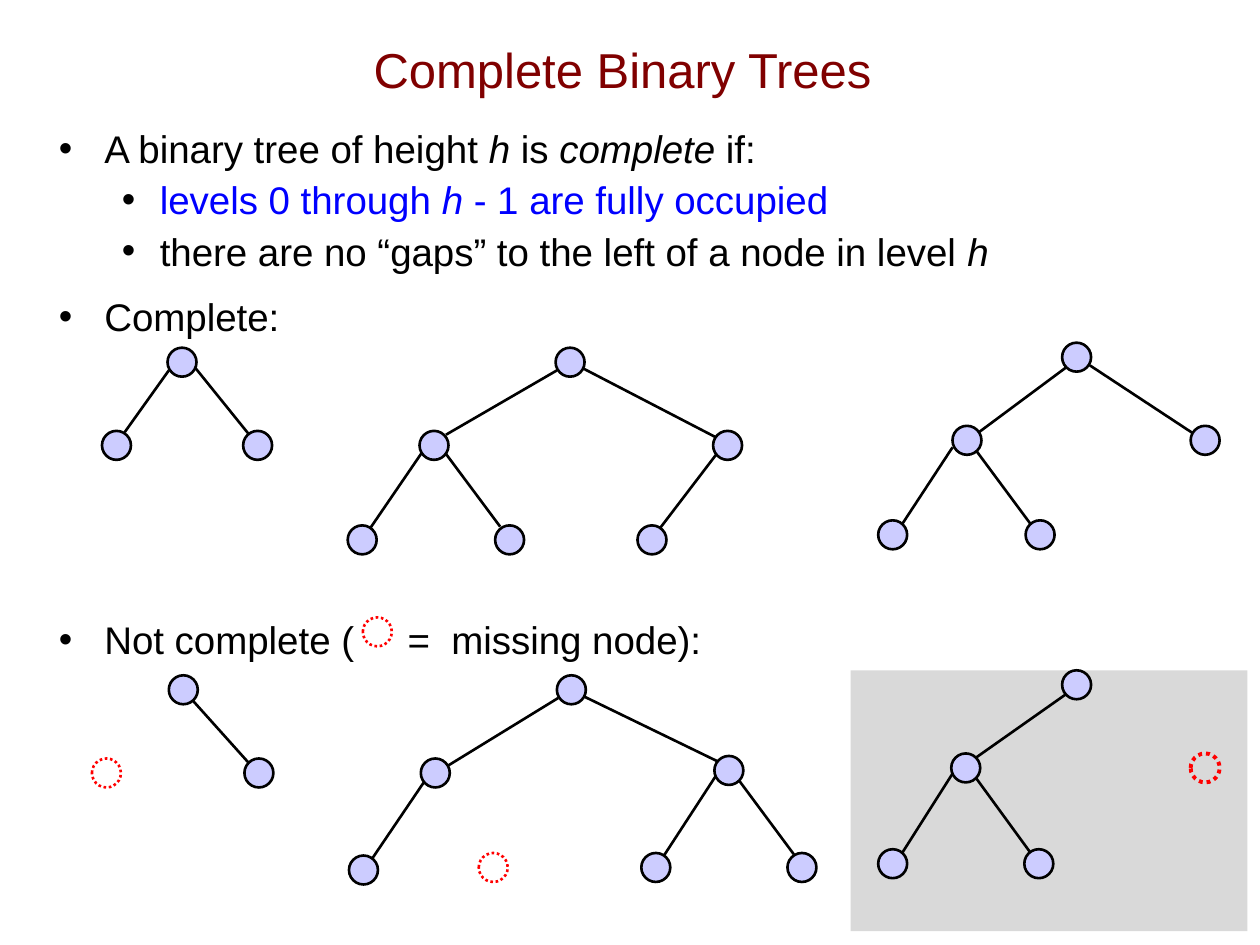
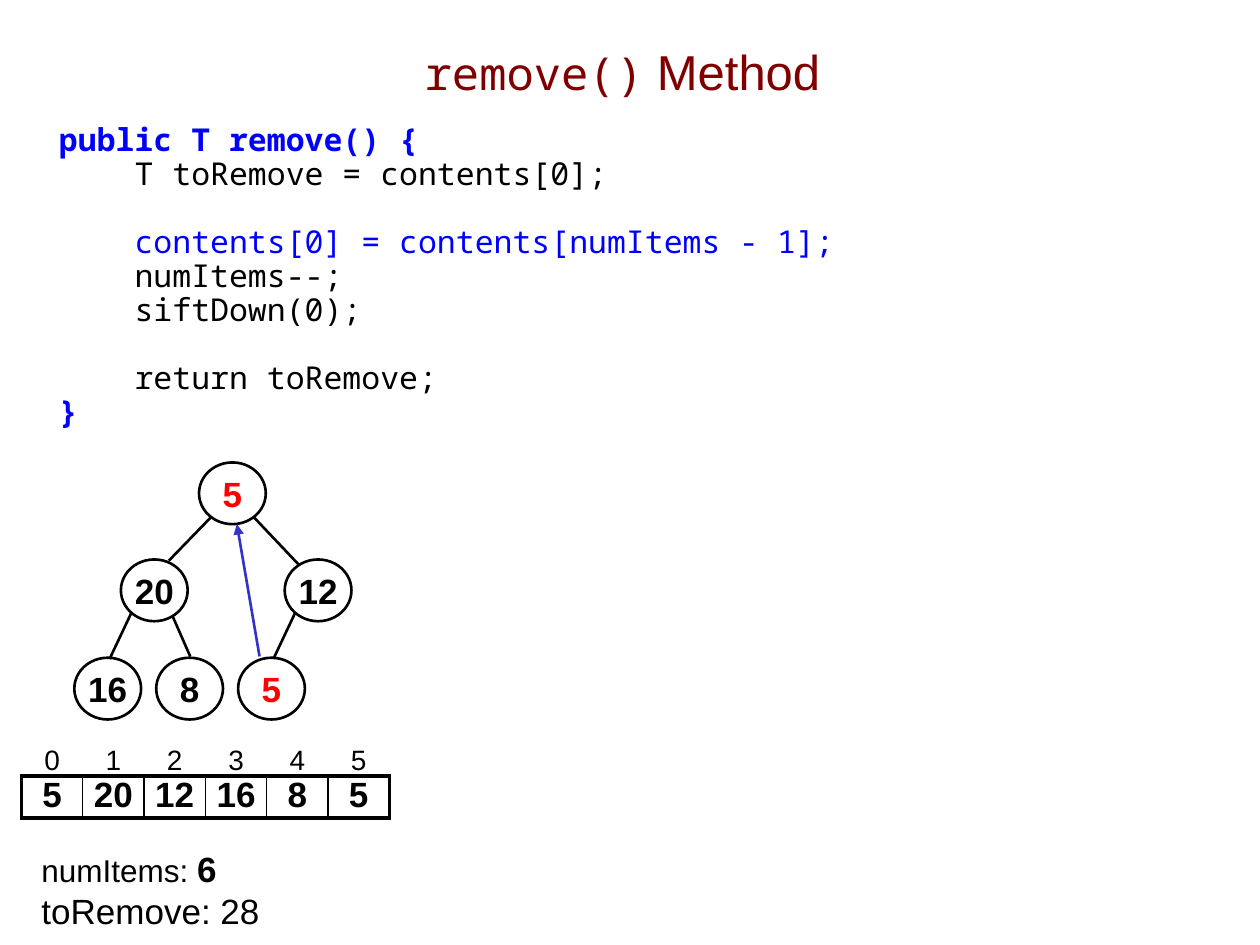
"""Build two slides about complete binary trees and removal from a heap."""
from dataclasses import dataclass

from lxml import etree
from pptx import Presentation
from pptx.dml.color import RGBColor
from pptx.enum.dml import MSO_LINE
from pptx.enum.shapes import MSO_CONNECTOR, MSO_SHAPE
from pptx.enum.text import MSO_ANCHOR, PP_ALIGN
from pptx.oxml.ns import qn
from pptx.util import Pt

PX = 9144
OVAL, RECTANGLE = MSO_SHAPE.OVAL, MSO_SHAPE.RECTANGLE
STRAIGHT, DOTTED = MSO_CONNECTOR.STRAIGHT, MSO_LINE.ROUND_DOT
MIDDLE, BOTTOM = MSO_ANCHOR.MIDDLE, MSO_ANCHOR.BOTTOM
CENTER = PP_ALIGN.CENTER


@dataclass(frozen=True)
class Theme:
    sans: str = "Arial"
    mono: str = "Noto Sans Mono"
    title: str = "800000"
    ink: str = "000000"
    blue: str = "0000FF"
    red: str = "FF0000"
    arrow: str = "3333CC"
    node: str = "CCCCFF"
    panel: str = "D9D9D9"
    title_size: int = 28
    title_code_size: int = 26
    body_size: int = 22
    value_size: int = 20
    code_size: int = 18
    index_size: int = 16
    line: float = 1.5
    heavy: float = 2.25
    thin: float = 1


THEME = Theme()


def write(para, text, size, color=THEME.ink, style="", font=THEME.sans):
    """Add one run; style holds b for bold and i for italic."""
    span = para.add_run()
    span.text = text
    span.font.name = font
    span.font.size = Pt(size)
    span.font.color.rgb = RGBColor.from_string(color)
    span.font.bold = "b" in style
    span.font.italic = "i" in style
    return span


def add_oval(page, left, top, width, height, color=THEME.ink, weight=THEME.line):
    """Add an unfilled outlined oval."""
    oval = page.shapes.add_shape(OVAL, left * PX, top * PX, width * PX, height * PX)
    oval.shadow.inherit = False
    oval.fill.background()
    oval.line.color.rgb = RGBColor.from_string(color)
    oval.line.width = Pt(weight)
    return oval


deck = Presentation()
deck.slide_width, deck.slide_height = 1000 * PX, 750 * PX
trees_page, remove_page = [deck.slides.add_slide(deck.slide_layouts[6]) for _ in range(2)]

panel = trees_page.shapes.add_shape(RECTANGLE, 675 * PX, 532 * PX, 315 * PX, 207 * PX)
panel.shadow.inherit = False
panel.fill.solid()
panel.fill.fore_color.rgb = RGBColor.from_string(THEME.panel)
panel.line.fill.background()

titles = [
    (trees_page, 8, [("Complete Binary Trees", THEME.title_size, THEME.sans)]),
    (remove_page, 10, [("remove()", THEME.title_code_size, THEME.mono),
                       (" Method", THEME.title_size, THEME.sans)]),
]
for page, top, spans in titles:
    box = page.shapes.add_textbox(64 * PX, top * PX, 860 * PX, 93 * PX)
    box.text_frame.word_wrap = True
    box.text_frame.vertical_anchor = MIDDLE
    para = box.text_frame.paragraphs[0]
    para.alignment = CENTER
    for text, size, font in spans:
        write(para, text, size, THEME.title, font=font)

# (level, space before, colour, spans of text, style and letter spacing)
bullets = [
    (0, 0, THEME.ink, [("A binary tree of height ", "", 0), ("h", "i", 0), (" is ", "", 0),
                       ("complete", "i", 0), (" if:", "", 0)]),
    (1, 3, THEME.blue, [("levels 0 through ", "", 0), ("h ", "i", 0),
                        ("- 1 are fully occupied", "", 0)]),
    (1, 3, THEME.ink, [("there are no “gaps” to the left of a node in level ", "", 0),
                       ("h", "i", 0)]),
    (0, 11, THEME.ink, [("Complete:", "", 0)]),
    (0, 158, THEME.ink, [("Not complete (", "", 0), (" ", "", 2450), ("=", "", 0),
                         (" ", "", 600), ("missing node):", "", 0)]),
]
indents = [(36, -36), (80, -30)]
frame = trees_page.shapes.add_textbox(37 * PX, 94 * PX, 917 * PX, 612 * PX).text_frame
frame.word_wrap = True
for number, (level, before, color, spans) in enumerate(bullets):
    para = frame.add_paragraph() if number else frame.paragraphs[0]
    para.level = level
    para.space_before = Pt(before)
    margin, indent = indents[level]
    properties = para._p.get_or_add_pPr()
    properties.set("marL", str(margin * PX))
    properties.set("indent", str(indent * PX))
    bullet_color = etree.SubElement(properties, qn("a:buClr"))
    etree.SubElement(bullet_color, qn("a:srgbClr"), val=THEME.ink)
    etree.SubElement(properties, qn("a:buFont"), typeface=THEME.sans)
    etree.SubElement(properties, qn("a:buChar"), char="•")
    for text, style, spacing in spans:
        span = write(para, text, THEME.body_size, color, style)
        if spacing:
            span._r.get_or_add_rPr().set("spc", str(spacing))

code = [
    (0, 0, "public T remove() {", THEME.blue, "b"),
    (60, 0, "T toRemove = contents[0];", THEME.ink, ""),
    (60, 19.4, "contents[0] = contents[numItems - 1];", THEME.blue, ""),
    (60, 0, "numItems--;", THEME.ink, ""),
    (60, 0, "siftDown(0);", THEME.ink, ""),
    (60, 19.4, "return toRemove;", THEME.ink, ""),
    (0, 0, "}", THEME.blue, "b"),
]
frame = remove_page.shapes.add_textbox(37 * PX, 94 * PX, 963 * PX, 614 * PX).text_frame
frame.word_wrap = True
for number, (margin, before, text, color, style) in enumerate(code):
    para = frame.add_paragraph() if number else frame.paragraphs[0]
    para.line_spacing = 0.9
    para.space_before = Pt(before)
    para._p.get_or_add_pPr().set("marL", str(margin * PX))
    write(para, text, THEME.code_size, color, style, THEME.mono)

tree_edges = [
    (134, 294, 99, 343), (155, 292, 197, 344),
    (442, 294, 354, 345), (462, 292, 568, 347), (335, 359, 294, 419),
    (353, 359, 397, 418), (569, 360, 524, 419),
    (847, 291, 777, 343), (865, 290, 947, 344), (756, 355, 716, 416), (775, 358, 818, 416),
    (153, 556, 197, 605),
    (443, 554, 355, 608), (464, 553, 569, 604), (337, 620, 295, 682),
    (568, 616, 527, 679), (587, 620, 630, 678),
    (846, 551, 775, 601), (756, 614, 716, 677), (775, 618, 818, 677),
]
heap_edges = [
    (167, 411, 134, 445), (201, 410, 237, 448), (104, 487, 87, 523),
    (137, 489, 151, 521), (234, 487, 217, 523),
]
move = (206, 521, 188, 416)
for page, edges in [(trees_page, tree_edges), (remove_page, heap_edges + [move])]:
    for edge in edges:
        line = page.shapes.add_connector(STRAIGHT, *[length * PX for length in edge])
        line.line.width = Pt(THEME.line)
        line.line.color.rgb = RGBColor.from_string(THEME.arrow if edge == move else THEME.ink)
        if edge == move:
            etree.SubElement(line.line._get_or_add_ln(), qn("a:tailEnd"), type="triangle")
        etree.SubElement(line._element.spPr, qn("a:effectLst"))

tree_nodes = [
    (133, 276), (81, 342), (193, 342),
    (441, 276), (333, 342), (566, 342), (276, 417), (393, 417), (506, 417),
    (843, 272), (756, 338), (945, 338), (697, 413), (814, 413),
    (134, 536), (194, 602),
    (442, 536), (334, 602), (567, 600), (277, 679), (509, 677), (625, 677),
    (843, 532), (755, 598), (697, 674), (813, 674),
]
for left, top in tree_nodes:
    node = add_oval(trees_page, left, top, 23, 23)
    node.fill.solid()
    node.fill.fore_color.rgb = RGBColor.from_string(THEME.node)

missing_nodes = [(73, 602, THEME.line), (380, 677, THEME.line),
                 (945, 598, THEME.heavy), (288, 490, THEME.line)]
for left, top, weight in missing_nodes:
    add_oval(trees_page, left, top, 23, 23, THEME.red, weight).line.dash_style = DOTTED

heap = [5, 20, 12, 16, 8, 5]
heap_places = [(158, 367), (96, 444), (226, 444), (59, 522), (124, 522), (189, 522)]
for value, (left, top) in zip(heap, heap_places):
    frame = add_oval(remove_page, left, top, 53, 49).text_frame
    frame.margin_left = frame.margin_right = frame.margin_top = frame.margin_bottom = 0
    frame.vertical_anchor = MIDDLE
    para = frame.paragraphs[0]
    para.alignment = CENTER
    write(para, str(value), THEME.value_size, THEME.red if value == 5 else THEME.ink, "b")

last = len(heap) - 1
table = remove_page.shapes.add_table(2, len(heap), 17 * PX, 584 * PX, 292 * PX, 65 * PX).table
table.first_row = table.horz_banding = False
table.rows[0].height, table.rows[1].height = 32 * PX, 33 * PX
for column, value in enumerate(heap):
    index_cell, value_cell = table.cell(0, column), table.cell(1, column)
    index_cell.vertical_anchor = BOTTOM
    index_cell.margin_left = index_cell.margin_right = 10 * PX
    index_cell.margin_top, index_cell.margin_bottom = 5 * PX, 0
    value_cell.margin_left = value_cell.margin_right = 0
    value_cell.margin_top = value_cell.margin_bottom = 0
    left_weight = THEME.thin if column else THEME.heavy
    right_weight = THEME.heavy if column == last else THEME.thin
    cells = [
        (index_cell, column, THEME.index_size, "", {"a:lnB": THEME.heavy}),
        (value_cell, value, THEME.value_size, "b",
         {"a:lnL": left_weight, "a:lnR": right_weight,
          "a:lnT": THEME.heavy, "a:lnB": THEME.heavy}),
    ]
    for cell, number, size, style, borders in cells:
        para = cell.text_frame.paragraphs[0]
        para.alignment = CENTER
        write(para, str(number), size, style=style)
        for side, weight in borders.items():
            border = etree.SubElement(cell._tc.get_or_add_tcPr(), qn(side), w=str(Pt(weight)))
            fill = etree.SubElement(border, qn("a:solidFill"))
            etree.SubElement(fill, qn("a:srgbClr"), val=THEME.ink)
        cell.fill.background()

frame = remove_page.shapes.add_textbox(23 * PX, 668 * PX, 195 * PX, 75 * PX).text_frame
frame.word_wrap = False
para = frame.paragraphs[0]
write(para, "numItems: ", THEME.code_size)
write(para, "6", THEME.value_size, style="b")
write(frame.add_paragraph(), "toRemove: 28", THEME.value_size)

deck.save("out.pptx")
